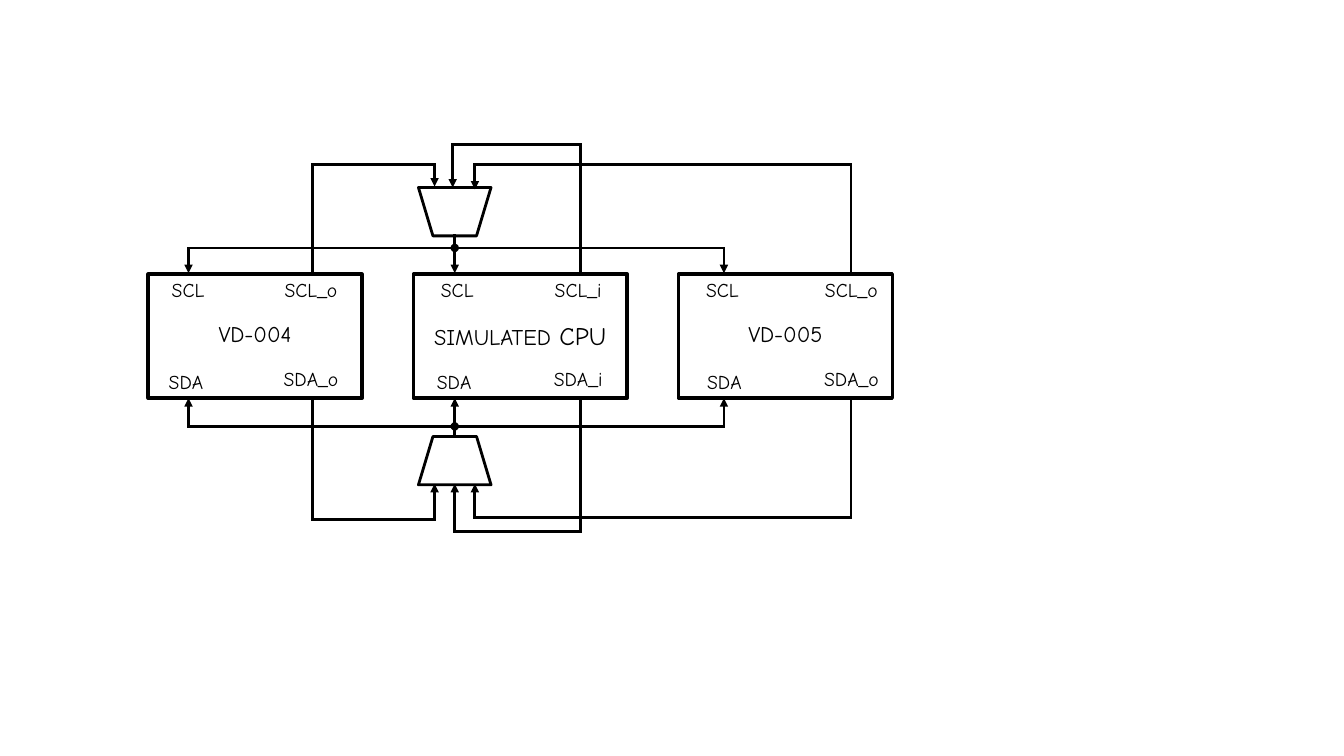
from itertools import pairwise

from lxml import etree
from pptx import Presentation
from pptx.dml.color import RGBColor as Rgb
from pptx.enum.shapes import MSO_CONNECTOR as Link, MSO_SHAPE as Preset
from pptx.enum.text import MSO_AUTO_SIZE as Fit, PP_ALIGN as Align
from pptx.oxml.ns import qn
from pptx.util import Emu, Pt

PX = 9144  # 100 px to the inch
COLORS = {"ink": "000000", "paper": "FFFFFF"}
FONT = "Comic Neue"

# Content: blocks with their title runs and pin labels (text, left, top, width)
BLOCK_TOP, BLOCK_W, BLOCK_H = 272, 212, 123
TITLE_TOP, TITLE_W = 313, 254
BLOCKS = [
    {"left": 410, "title": [("SIMULATED", 16), (" CPU", 18)],
     "pins": [("SDA", 416, 362, 69), ("SCL", 419, 271, 69),
              ("SCL_i", 532, 271, 83), ("SDA_i", 528, 359, 91)]},
    {"left": 673, "title": [("VD-005", 16)],
     "pins": [("SDA", 684, 362, 69), ("SCL", 682, 271, 69),
              ("SCL_o", 803, 271, 83), ("SDA_o", 799, 359, 91)]},
    {"left": 147, "title": [("VD-004", 16)],
     "pins": [("SDA", 150, 362, 69), ("SCL", 152, 271, 69),
              ("SCL_o", 267, 271, 83), ("SDA_o", 263, 359, 91)]},
]

# Content: one bus above the blocks and one below
MUX_LEFT, MUX_W, MUX_H = 415, 72, 48
BUS_LEFT, BUS_MID, BUS_RIGHT = 187, 451, 718
BUSES = [
    {"mux_top": 186, "turn": 0, "mux_out": 234, "bus": 246, "pin": 271,
     # block output x, outer y, mux input x, arrow tip y
     "feeds": [(310, 163, 431, 185), (576, 143, 449, 186), (844, 163, 471, 188)]},
    {"mux_top": 433, "turn": 180, "mux_out": 433, "bus": 423, "pin": 395,
     "feeds": [(310, 515, 431, 480), (576, 527, 451, 480), (844, 513, 471, 480)]},
]

deck = Presentation()
deck.slide_width, deck.slide_height = Emu(1333 * PX), Emu(750 * PX)
page = deck.slides.add_slide(deck.slide_layouts[6])


def color(name):
    return Rgb.from_string(COLORS[name])


def apply(target, values):
    for name, value in values.items():
        setattr(target, name, value)


def add_box(preset, left, top, width, height, line_width, turn=0):
    box = page.shapes.add_shape(preset, *(Emu(n * PX) for n in (left, top, width, height)))
    box.shadow.inherit = False
    box.rotation = turn
    box.fill.solid()
    box.fill.fore_color.rgb = color("paper")
    box.line.color.rgb = color("ink")
    box.line.width = Pt(line_width)
    return box


def add_label(spans, left, top, width, height):
    label = page.shapes.add_textbox(*(Emu(n * PX) for n in (left, top, width, height)))
    apply(label.text_frame, {"word_wrap": True, "auto_size": Fit.SHAPE_TO_FIT_TEXT})
    para = label.text_frame.paragraphs[0]
    para.alignment = Align.CENTER
    for text, size in spans:
        span = para.add_run()
        span.text = text
        apply(span.font, {"name": FONT, "size": Pt(size)})
        span.font.color.rgb = color("ink")


def add_wire(points, end=None):
    """Draw one straight connector per leg; the last leg carries the end mark."""
    legs = []
    for start, stop in pairwise(points):
        leg = page.shapes.add_connector(
            Link.STRAIGHT, *(Emu(n * PX) for n in (*start, *stop)))
        leg.line.color.rgb = color("ink")
        leg.line.width = Pt(2)
        leg.line._get_or_add_ln().set("cap", "sq")
        etree.SubElement(leg._element.spPr, qn("a:effectLst"))
        legs.append(leg)
    if end:
        tail = etree.SubElement(legs[-1].line._get_or_add_ln(), qn("a:tailEnd"))
        tail.set("type", end)
    return legs


# Blocks with titles and pin labels
for block in BLOCKS:
    add_box(Preset.RECTANGLE, block["left"], BLOCK_TOP, BLOCK_W, BLOCK_H, 2.5)
    title_left = block["left"] - (TITLE_W - BLOCK_W) // 2
    title_height = 40 if len(block["title"]) > 1 else 37
    add_label(block["title"], title_left, TITLE_TOP, TITLE_W, title_height)
    for text, left, top, width in block["pins"]:
        add_label([(text, 14)], left, top, width, 34)

# Multiplexers, buses and feeds
for side in BUSES:
    mux = add_box(Preset.FLOWCHART_MANUAL_OPERATION, MUX_LEFT, side["mux_top"],
                  MUX_W, MUX_H, 2, side["turn"])
    bus, pin = side["bus"], side["pin"]

    output = add_wire([(BUS_MID, side["mux_out"]), (BUS_MID, pin)], "triangle")[0]
    output.begin_connect(mux, 2)
    apply(output, {"begin_x": Emu(BUS_MID * PX), "begin_y": Emu(side["mux_out"] * PX)})

    add_wire([(BUS_LEFT, bus), (BUS_LEFT, pin)], "triangle")
    add_wire([(BUS_LEFT, bus), (BUS_MID, bus)], "oval")
    add_wire([(BUS_MID, bus), (BUS_RIGHT, bus), (BUS_RIGHT, pin)], "triangle")

    for source_x, outer_y, input_x, tip_y in side["feeds"]:
        add_wire([(source_x, pin), (source_x, outer_y),
                  (input_x, outer_y), (input_x, tip_y)], "triangle")

deck.save("out.pptx")
